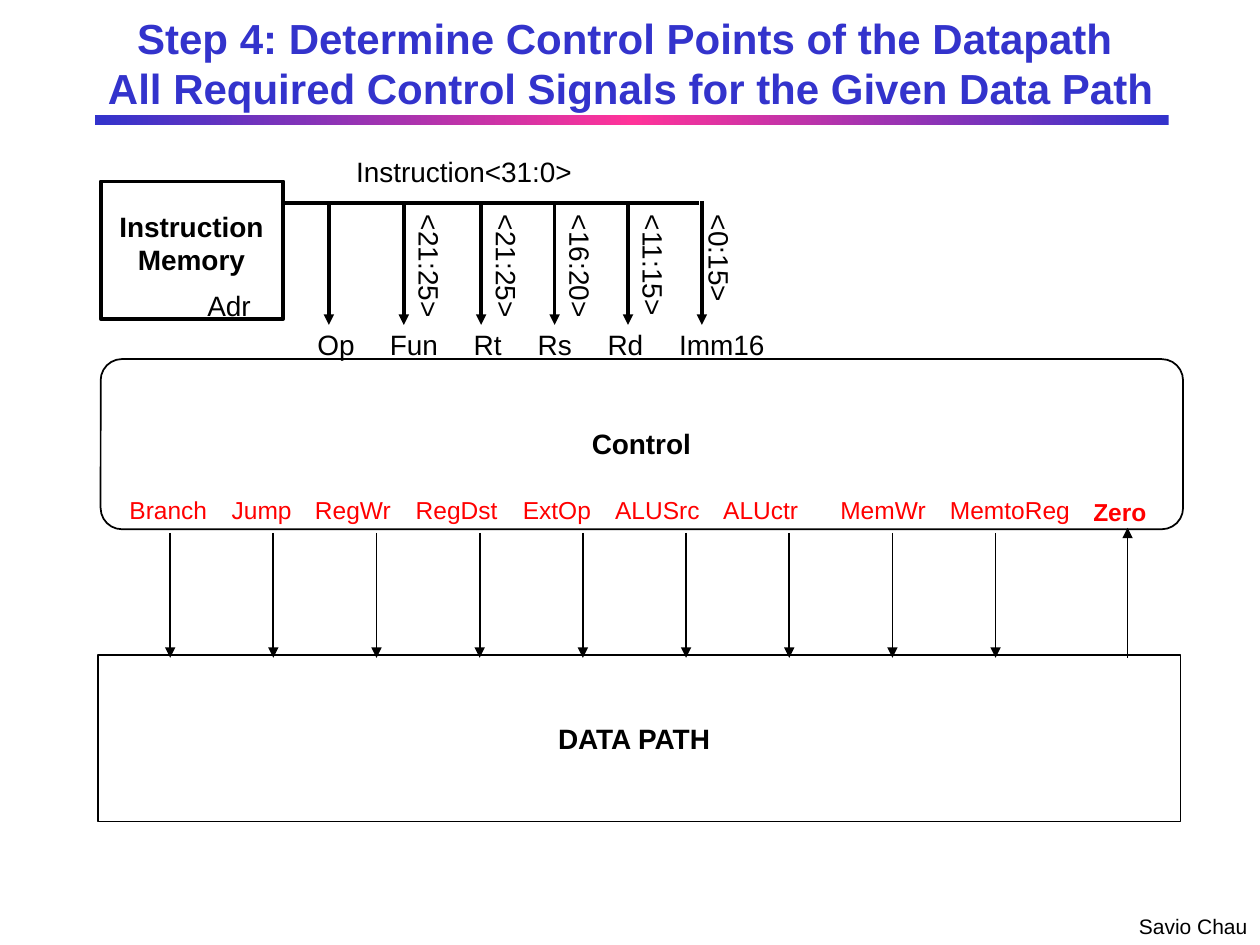
from copy import deepcopy
from itertools import accumulate

from lxml.etree import SubElement
from pptx import Presentation
from pptx.dml.color import RGBColor
from pptx.enum.shapes import MSO_CONNECTOR as Link, MSO_SHAPE as Form
from pptx.enum.text import MSO_ANCHOR as Anchor, MSO_AUTO_SIZE as Fit, PP_ALIGN as Align
from pptx.oxml.ns import qn
from pptx.util import Cm, Pt

BLACK = RGBColor(0x00, 0x00, 0x00)
RED = RGBColor(0xFF, 0x00, 0x00)
BLUE = RGBColor(0x33, 0x33, 0xCC)
PINK = RGBColor(0xFF, 0x33, 0x99)

PLAIN = {"name": "Arial", "size": Pt(16), "bold": False}
BOLD = {**PLAIN, "bold": True}
SMALL = {**PLAIN, "size": Pt(12)}
SIGNAL = {**PLAIN, "size": Pt(14)}
INPUT = {**SIGNAL, "bold": True}
TITLE = {**BOLD, "size": Pt(24)}

FIELDS = [("Op", 1.24), ("Fun", 1.47), ("Rt", 1.07),
          ("Rs", 1.19), ("Rd", 1.22), ("Imm16", 2.24)]
DROPS = [0.92, 2.43, 3.99, 5.47, 6.95, 8.44]
BITS = [("<21:25>", 2.57, 0.53), ("<21:25>", 2.57, 0.53), ("<16:20>", 2.57, 0.53),
        ("<11:15>", 2.57, 0.53), ("<0:15>", 2.26, 0.37)]
SIGNALS = [("Branch", 2.06), ("Jump", 1.68), ("RegWr", 2.03), ("RegDst", 2.16),
           ("ExtOp", 1.86), ("ALUSrc", 2.18), ("ALUctr", 2.36), ("MemWr", 2.21),
           ("MemtoReg", 2.89)]


def write(slide, text, box, style, color=BLACK, align=Align.LEFT):
    label = slide.shapes.add_textbox(*map(Cm, box))
    frame = label.text_frame
    frame.word_wrap = True
    frame.auto_size = Fit.NONE
    frame.margin_right = 0
    if align == Align.CENTER:
        frame.margin_left = 0
    for i, line in enumerate(text.split("\n")):
        para = frame.paragraphs[0] if i == 0 else frame.add_paragraph()
        para.text = line
        para.alignment = align
        for run in para.runs:
            for key, value in style.items():
                setattr(run.font, key, value)
            run.font.color.rgb = color
    return label


def write_row(slide, x, y, high, items, gap, style, color=BLACK):
    lefts = accumulate((wide + gap for _, wide in items), initial=x)
    for (text, wide), left in zip(items, lefts):
        write(slide, text, (left, y, wide, high), style, color)


def draw_line(slide, start, end, weight, arrow=True):
    line = slide.shapes.add_connector(Link.STRAIGHT, *map(Cm, (*start, *end)))
    line.line.color.rgb = BLACK
    line.line.width = Pt(weight)
    if arrow:
        SubElement(line.line._get_or_add_ln(), qn("a:tailEnd"), type="triangle")
    SubElement(line._element.spPr, qn("a:effectLst"))


def draw_frame(slide, form, box, weight):
    frame = slide.shapes.add_shape(form, *map(Cm, box))
    frame.shadow.inherit = False
    frame.fill.background()
    frame.line.color.rgb = BLACK
    frame.line.width = Pt(weight)
    return frame


def add_title(slide, box):
    x, y, w, h = box
    title = write(slide, "Step 4: Determine Control Points of the Datapath \v"
                  "All Required Control Signals for the Given Data Path",
                  box, TITLE, BLUE, Align.CENTER)
    title.text_frame.vertical_anchor = Anchor.MIDDLE

    bar = slide.shapes.add_shape(
        Form.RECTANGLE, *map(Cm, (x + 1.31, y + 2.32, w - 2.57, 0.21)))
    bar.shadow.inherit = False
    bar.line.fill.background()
    bar.fill.gradient()
    bar.fill.gradient_angle = 0
    stops = bar._element.spPr.find(qn("a:gradFill")).find(qn("a:gsLst"))
    stops.append(deepcopy(stops[0]))
    for stop, color, place in zip(bar.fill.gradient_stops, (BLUE, PINK, BLUE), (0, 0.5, 1)):
        stop.color.rgb = color
        stop.position = place


def add_memory(slide, box):
    x, y, w, h = box
    draw_frame(slide, Form.RECTANGLE, box, 2.25)
    write(slide, "Instruction\nMemory", (x + 0.13, y + 0.43, 3.4, 1.6), BOLD,
          align=Align.CENTER)
    write(slide, "Adr", (x + 1.9, y + 2.03, 1.37, 0.91), PLAIN)


def add_fields(slide, box):
    x, y, w, h = box
    write(slide, "Instruction<31:0>", (x + 1.22, y - 1.09, 4.85, 0.91), PLAIN)
    draw_line(slide, (x, y), (x + w, y), 2, arrow=False)
    for drop in DROPS:
        draw_line(slide, (x + drop, y - 0.03), (x + drop, y + h), 2)
    for drop, (text, wide, gap) in zip(DROPS[1:], BITS):
        left = x + drop + gap - wide / 2
        top = y + wide / 2 - 0.46
        write(slide, text, (left, top, wide, 0.91), PLAIN).rotation = 90
    write_row(slide, x + 0.44, y + h - 0.07, 0.91, FIELDS, 0.22, PLAIN)


def add_control(slide, box):
    x, y, w, h = box
    draw_frame(slide, Form.ROUNDED_RECTANGLE, box, 1).adjustments[0] = 0.125
    write(slide, "Control", (x + 9.65, y + 1.24, 2.51, 0.91), BOLD)
    write_row(slide, x + 0.33, y + 2.62, 0.84, SIGNALS, 0, SIGNAL, RED)
    write(slide, "Zero", (x + 19.76, y + 2.65, 1.57, 0.84), INPUT, RED)


def add_arrows(slide, box):
    x, y, w, h = box
    for i in range(len(SIGNALS)):
        left = x + 2.08 * i
        draw_line(slide, (left, y + 0.1), (left, y + h), 1)
    draw_line(slide, (x + w, y + h), (x + w, y), 1)


def add_path(slide, box):
    x, y, w, h = box
    draw_frame(slide, Form.RECTANGLE, box, 1)
    write(slide, "DATA PATH", (x + 9.02, y + 1.22, 3.76, 0.91), BOLD)


def main():
    deck = Presentation()
    deck.slide_width = Cm(25.4)
    deck.slide_height = Cm(19.05)
    slide = deck.slides.add_slide(deck.slide_layouts[6])
    add_title(slide, (0.61, 0, 24.21, 2.54))
    add_memory(slide, (2.03, 3.66, 3.68, 2.77))
    add_fields(slide, (5.71, 4.09, 8.39, 2.46))
    add_control(slide, (2.03, 7.24, 21.82, 3.43))
    add_arrows(slide, (3.43, 10.64, 19.3, 2.62))
    add_path(slide, (1.98, 13.21, 21.82, 3.35))
    write(slide, "Savio Chau", (22.71, 18.29, 2.69, 0.76), SMALL)
    deck.save("out.pptx")


if __name__ == "__main__":
    main()
